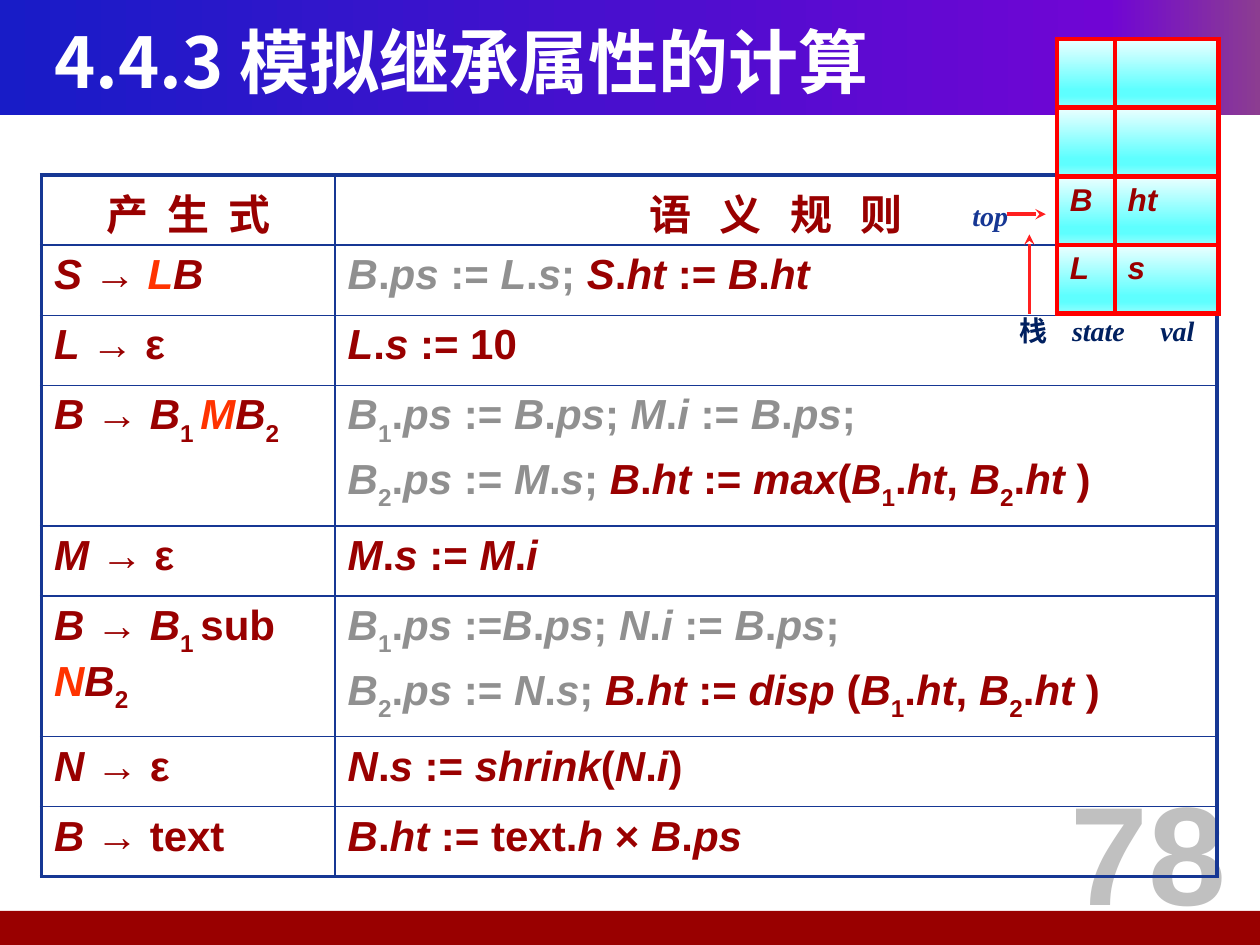
from dataclasses import dataclass
from typing import NamedTuple

from lxml.etree import SubElement
from pptx import Presentation
from pptx.dml.color import RGBColor
from pptx.enum.shapes import MSO_CONNECTOR, MSO_SHAPE
from pptx.enum.text import MSO_ANCHOR, MSO_AUTO_SIZE, PP_ALIGN
from pptx.oxml import parse_xml
from pptx.oxml.ns import nsdecls, qn
from pptx.util import Inches, Pt

COLS, ROWS = 100, 75
WIDE, HIGH = Inches(10), Inches(7.5)


@dataclass(frozen=True)
class Theme:
    sans: str = "Arial"
    serif: str = "Times New Roman"
    han: str = "Noto Sans CJK SC"
    white: str = "FFFFFF"
    dark: str = "990000"
    hot: str = "FF3300"
    grey: str = "909090"
    pale: str = "C0C0C0"
    navy: str = "002060"
    rule: str = "163794"
    edge: str = "FF0000"
    arrow: str = "FF2020"
    head: tuple = ((0, "181CC7"), (88, "7005D4"), (100, "8C3D91"))
    stack: tuple = ((0, "EDFFFF"), (74, "5EFFFF"), (83, "5EFFFF"), (100, "94FFFF"))
    title: float = 40
    page: float = 80
    text: float = 24
    cell: float = 18
    note: float = 16
    gap: float = 5.2
    thin: float = 1
    thick: float = 2.25
    frame: float = 3
    line: float = 2


THEME = Theme()


class Box(NamedTuple):
    left: float
    top: float
    wide: float
    high: float

    def place(self) -> tuple:
        return across(self.left), down(self.top), across(self.wide), down(self.high)


class Style(NamedTuple):
    size: float
    color: str
    face: str = THEME.sans
    slant: bool = False
    align: PP_ALIGN = PP_ALIGN.LEFT
    track: float = 0
    tabs: tuple = ()


class Rule(NamedTuple):
    left: str
    right: tuple
    style: Style = Style(THEME.text, THEME.dark)


class Arrow(NamedTuple):
    start: tuple
    end: tuple


def across(cols: float) -> int:
    return round(WIDE * cols / COLS)


def down(rows: float) -> int:
    return round(HIGH * rows / ROWS)


def blend(stops: tuple, angle: int):
    marks = "".join(f'<a:gs pos="{at * 1000}"><a:srgbClr val="{color}"/></a:gs>'
                    for at, color in stops)
    return parse_xml(f'<a:gradFill {nsdecls("a")} rotWithShape="1"><a:gsLst>{marks}</a:gsLst>'
                     f'<a:lin ang="{angle * 60000}" scaled="0"/></a:gradFill>')


def format_line(para, style: Style) -> None:
    para.alignment = style.align
    props = para._p.get_or_add_pPr()
    if style.tabs:
        stops = SubElement(props, qn("a:tabLst"))
        for stop in style.tabs:
            SubElement(stops, qn("a:tab"), pos=str(across(stop)), algn="l")
    font = para.font
    font.size, font.bold, font.italic = Pt(style.size), True, style.slant
    font.color.rgb = RGBColor.from_string(style.color)
    font.name = style.face
    base = props.get_or_add_defRPr()
    SubElement(base, qn("a:ea"), typeface=THEME.han)
    if style.track:
        base.set("spc", str(round(style.track * 100)))


def write_marked(para, text: str) -> None:
    """Marks: *slant*, ~lower~, {grey}, [hot]."""
    tints = {"{": THEME.grey, "[": THEME.hot, "}": None, "]": None}
    slant, lower, tint, part = False, False, None, ""
    for sign in text + "}":
        if sign not in "*~{}[]":
            part += sign
            continue
        if part:
            run = para.add_run()
            run.text = part
            if slant:
                run.font.italic = True
            if tint:
                run.font.color.rgb = RGBColor.from_string(tint)
            if lower:
                run.font._rPr.set("baseline", "-30000")
            part = ""
        if sign == "*":
            slant = not slant
        elif sign == "~":
            lower = not lower
        else:
            tint = tints[sign]


def write(frame, lines: tuple, style: Style) -> None:
    for at, text in enumerate(lines):
        para = frame.add_paragraph() if at else frame.paragraphs[0]
        if at:
            para.space_before = Pt(THEME.gap)
        format_line(para, style)
        write_marked(para, text)


def add_text(slide, box: Box, text: str, style: Style, anchor=MSO_ANCHOR.MIDDLE) -> None:
    frame = slide.shapes.add_textbox(*box.place()).text_frame
    frame.word_wrap, frame.vertical_anchor = True, anchor
    write(frame, (text,), style)


def add_band(slide, box: Box, paint) -> None:
    shape = slide.shapes.add_shape(MSO_SHAPE.RECTANGLE, *box.place())
    shape.shadow.inherit = False
    shape.line.fill.background()
    if isinstance(paint, str):
        shape.fill.solid()
        shape.fill.fore_color.rgb = RGBColor.from_string(paint)
    else:
        shape.fill.background()
        old = shape._element.spPr.find(qn("a:noFill"))
        old.getparent().replace(old, blend(paint, 0))


def add_grid(slide, box: Box, wides: tuple, highs: tuple):
    table = slide.shapes.add_table(len(highs), len(wides), *box.place()).table
    table.first_row = table.horz_banding = False
    for col, wide in zip(table.columns, wides):
        col.width = across(wide)
    for row, high in zip(table.rows, highs):
        row.height = down(high)
    return table


def dress(cell, color: str, sides: dict, fill) -> None:
    props = cell._tc.get_or_add_tcPr()
    for side, width in sides.items():
        props.append(parse_xml(
            f'<a:ln{side} {nsdecls("a")} w="{Pt(width)}"><a:solidFill>'
            f'<a:srgbClr val="{color}"/></a:solidFill></a:ln{side}>'))
    props.append(fill)


def add_rules(slide, box: Box, wides: tuple, highs: tuple, rules: list) -> None:
    table = add_grid(slide, box, wides, highs)
    last = len(rules) - 1
    for at, rule in enumerate(rules):
        for col, lines in enumerate(((rule.left,), rule.right)):
            outer = {"L": col == 0, "R": col == 1, "T": at == 0, "B": at == last}
            sides = {side: THEME.thick if out else THEME.thin for side, out in outer.items()}
            cell = table.cell(at, col)
            dress(cell, THEME.rule, sides, parse_xml(f'<a:noFill {nsdecls("a")}/>'))
            style = rule.style
            if len(lines) > 1:
                style = style._replace(align=PP_ALIGN.JUSTIFY)
            if style.track and col:
                style = style._replace(track=style.track * 2)
            write(cell.text_frame, lines, style)


def add_stack(slide, box: Box, wides: tuple, rows: tuple) -> None:
    table = add_grid(slide, box, wides, (box.high / len(rows),) * len(rows))
    style = Style(THEME.cell, THEME.dark, slant=True)
    for at, row in enumerate(rows):
        for col, text in enumerate(row):
            cell = table.cell(at, col)
            dress(cell, THEME.edge, dict.fromkeys("LRTB", THEME.frame), blend(THEME.stack, 90))
            if text:
                write(cell.text_frame, (f"*{text}*",), style)


def add_arrow(slide, arrow: Arrow) -> None:
    (left, top), (right, low) = arrow.start, arrow.end
    line = slide.shapes.add_connector(
        MSO_CONNECTOR.STRAIGHT, across(left), down(top), across(right), down(low))
    line.line.color.rgb = RGBColor.from_string(THEME.arrow)
    line.line.width = Pt(THEME.line)
    SubElement(line.line._get_or_add_ln(), qn("a:tailEnd"), type="stealth")
    SubElement(line._element.spPr, qn("a:effectLst"))


def add_title(slide, box: Box, text: str) -> None:
    title = slide.shapes.title
    title.left, title.top, title.width, title.height = box.place()
    slide.shapes._spTree.append(title._element)
    frame = title.text_frame
    frame.auto_size, frame.vertical_anchor = MSO_AUTO_SIZE.NONE, MSO_ANCHOR.MIDDLE
    write(frame, (text,), Style(THEME.title, THEME.white, THEME.han))


RULES = [
    Rule("产 生 式", ("语 义 规 则",),
         Style(THEME.text, THEME.dark, THEME.han, align=PP_ALIGN.CENTER, track=2.7)),
    Rule("*S* → *[L]B*", ("{*B*.*ps* := *L*.*s*; }*S*.*ht* := *B*.*ht*",)),
    Rule("*L* → ε", ("*L*.*s* := 10",)),
    Rule("*B* → *B*~1 ~*[M]B*~2~",
         ("{*B*~1~.*ps* := *B*.*ps*; *M*.*i* := *B*.*ps*;}",
          "{*B*~2~.*ps* := *M*.*s*; }*B*.*ht* := *max*(*B*~1~.*ht*, *B*~2~.*ht *)")),
    Rule("*M* → ε", ("*M*.*s* := *M*.*i*",)),
    Rule("*B* → *B*~1 ~sub *[N]B*~2~",
         ("{*B*~1~.*ps* :=*B*.*ps*; *N*.*i* := *B*.*ps*;}",
          "{*B*~2~.*ps* := *N*.*s*; }*B.ht* := *disp* (*B*~1~.*ht*, *B*~2~.*ht *)")),
    Rule("*N* → ε", ("*N*.*s* := *shrink*(*N*.*i*)",)),
    Rule("*B* → text", ("*B*.*ht* := text.*h* × *B*.*ps*",)),
]


def main() -> None:
    deck = Presentation()
    deck.slide_width, deck.slide_height = WIDE, HIGH
    slide = deck.slides.add_slide(deck.slide_layouts[5])
    add_band(slide, Box(0, 0, COLS, 9.1), THEME.head)
    add_band(slide, Box(0, 72.3, COLS, 2.7), THEME.dark)
    add_title(slide, Box(3.3, 1.7, 92.5, 6.2), "4.4.3 模拟继承属性的计算")
    add_text(slide, Box(82.3, 60.3, 17.7, 14.2), "78",
             Style(THEME.page, THEME.pale, align=PP_ALIGN.CENTER), MSO_ANCHOR.TOP)
    highs = tuple(9.8 if len(rule.right) > 1 else 5.56 for rule in RULES)
    add_rules(slide, Box(3.3, 13.9, 93.3, sum(highs)), (23.3, 70), highs, RULES)
    add_text(slide, Box(79.9, 23.6, 18.9, 5.3), "栈\t*state*\t*val*",
             Style(THEME.note, THEME.navy, THEME.serif, tabs=(4.2, 11.2)))
    add_stack(slide, Box(83.9, 3.1, 12.8, 21.8), (4.6, 8.2),
              (("", ""), ("", ""), ("B", "ht"), ("L", "s")))
    add_text(slide, Box(76.2, 15.5, 6, 3.2), "*top*",
             Style(THEME.note, THEME.rule, THEME.serif, slant=True))
    for arrow in (Arrow((79.9, 17), (83, 17)), Arrow((81.7, 24.9), (81.7, 18.6))):
        add_arrow(slide, arrow)
    deck.save("out.pptx")


if __name__ == "__main__":
    main()
